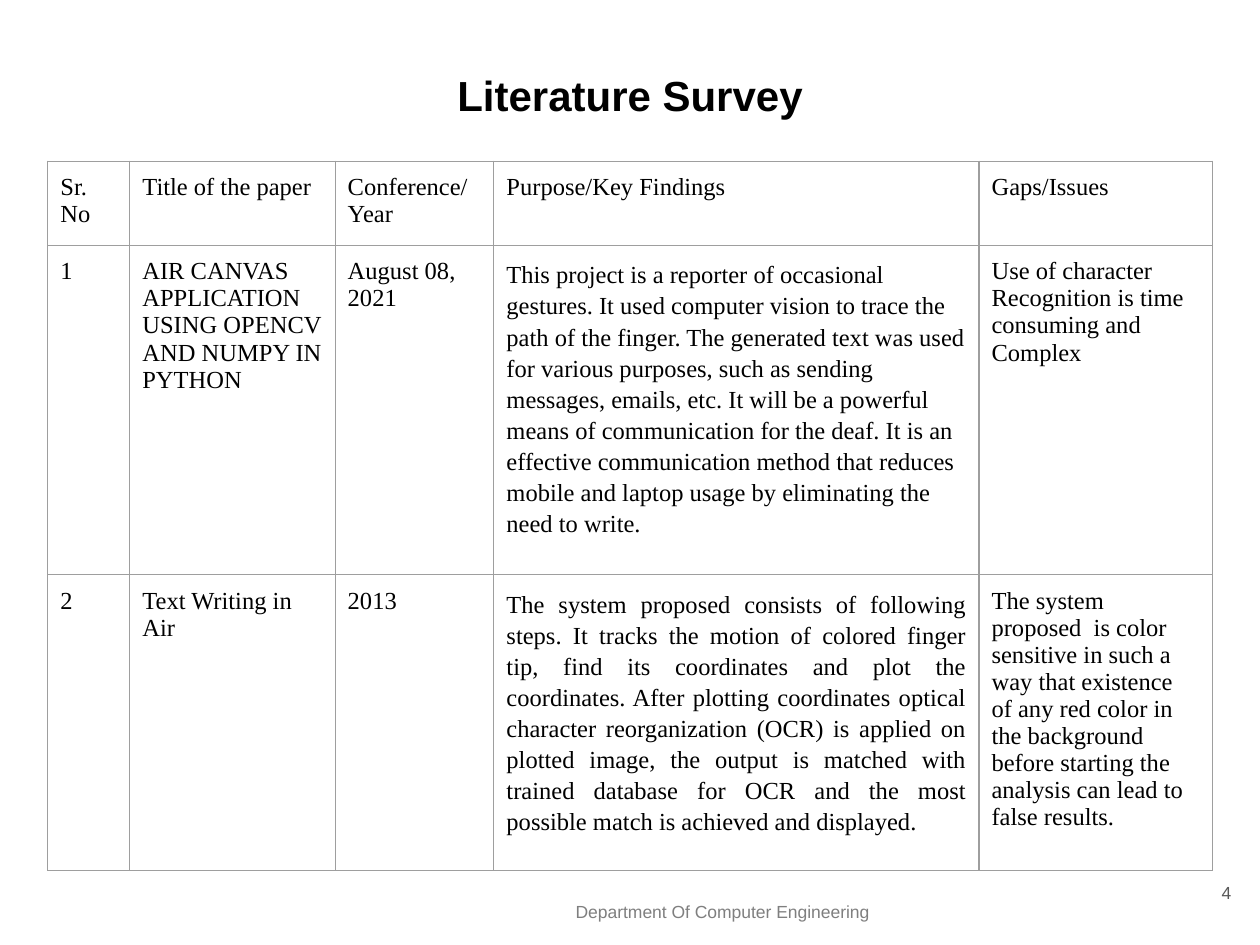
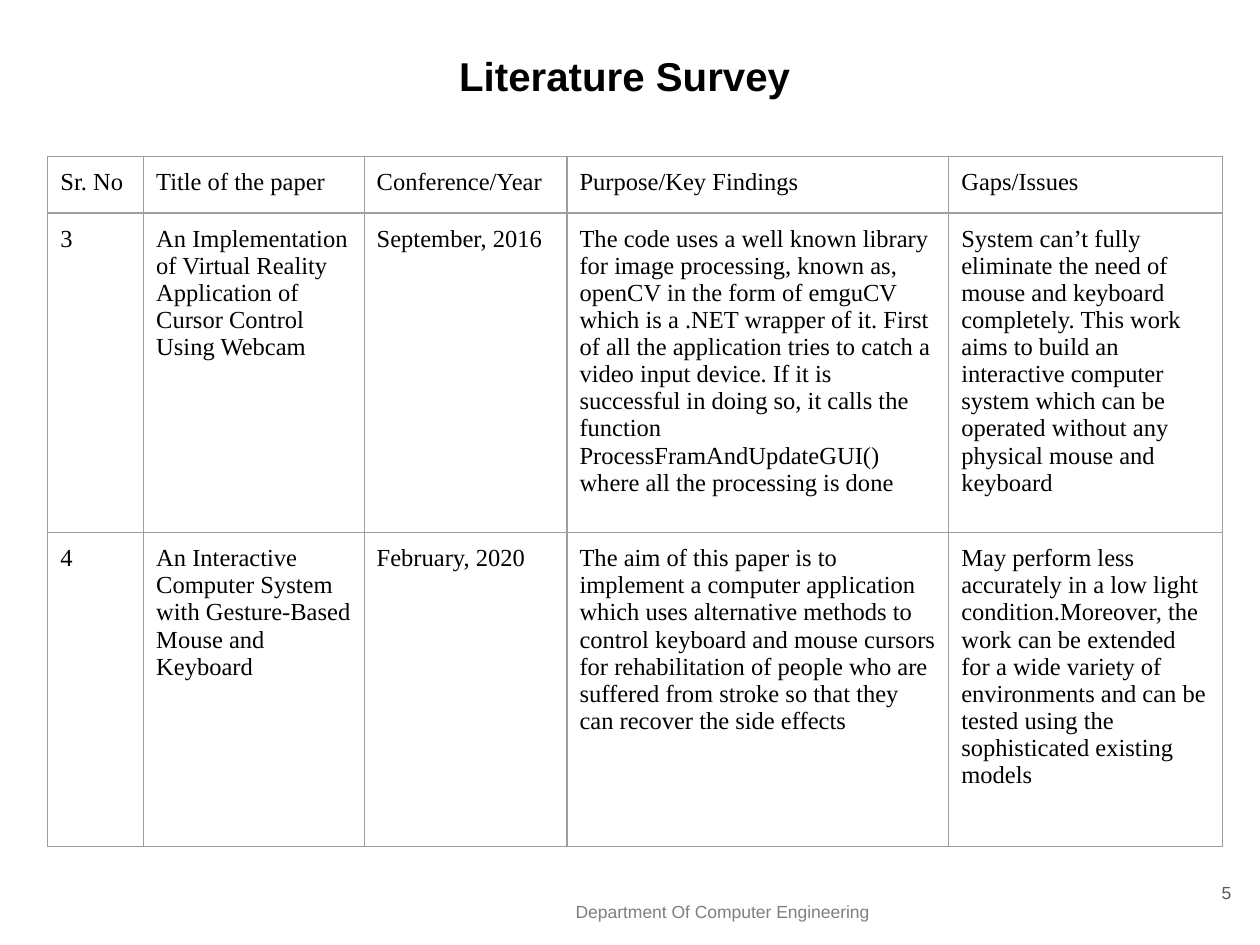
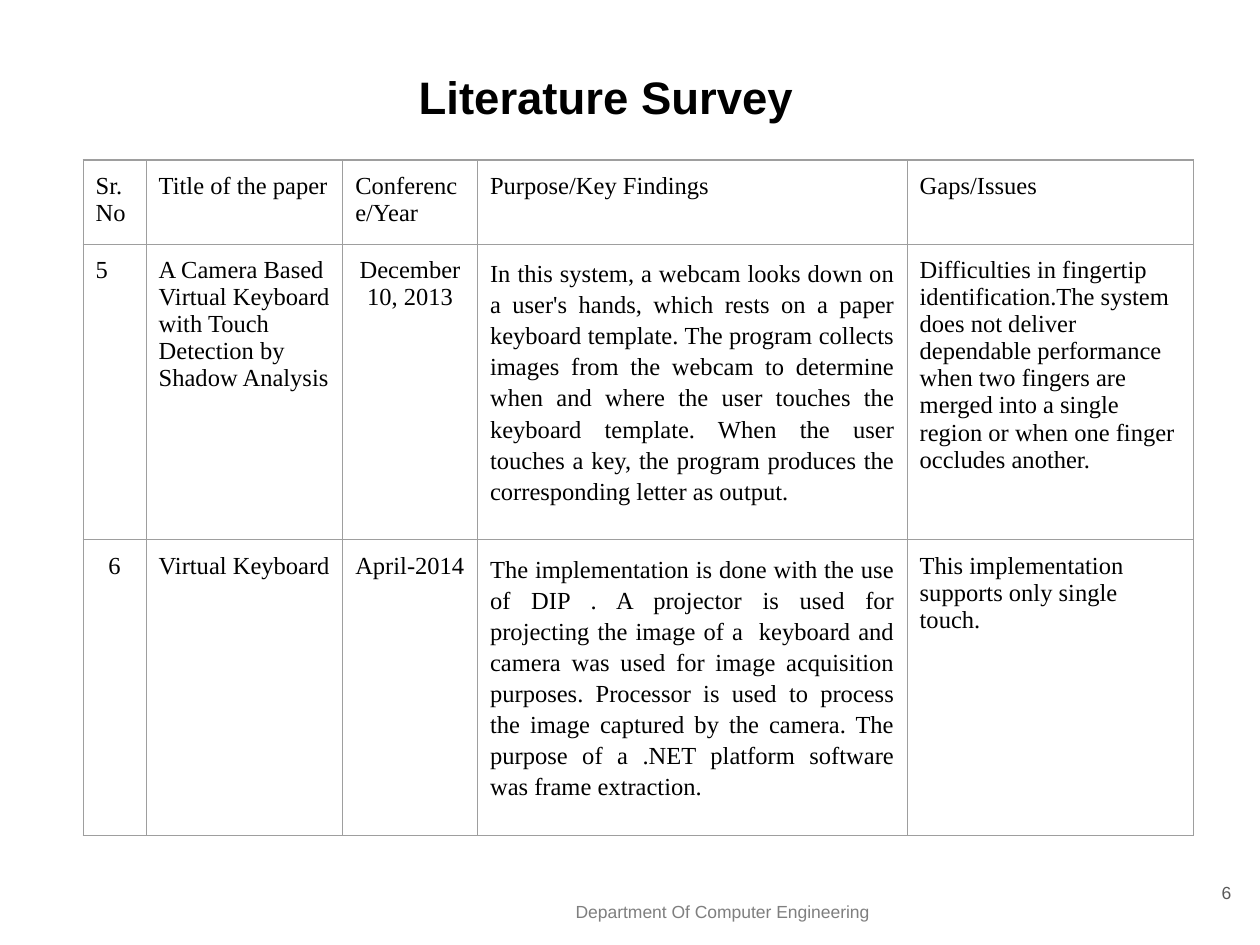
from lxml.etree import SubElement
from pptx import Presentation
from pptx.dml.color import RGBColor
from pptx.enum.text import MSO_ANCHOR, PP_ALIGN
from pptx.oxml.ns import qn
from pptx.util import Inches, Pt

BLACK, FOOTER_GREY, NUMBER_GREY, BORDER_GREY = "000000", "7F7F7F", "595959", "9E9E9E"
SANS, SERIF = "Arial", "Times New Roman"
LEFT, CENTER, RIGHT, JUSTIFY = PP_ALIGN.LEFT, PP_ALIGN.CENTER, PP_ALIGN.RIGHT, PP_ALIGN.JUSTIFY
INSET = 0.1
LOOSE = 1.15
HEADERS = ["Sr. No", "Title of the paper", "Conference/Year", "Purpose/Key Findings", "Gaps/Issues"]

SURVEYS = [
    {
        "number": 4, "title_at": (0.34, 0.45), "title_size": 24, "table_at": (0.38, 1.28),
        "cols": [0.65, 1.63, 1.26, 3.85, 1.85], "rows": [0.66, 2.56, 2.3],
        "papers": [
            ["1", "AIR CANVAS APPLICATION USING OPENCV AND NUMPY IN PYTHON", "August 08, 2021",
             ("This project is a reporter of occasional gestures. It used computer vision to trace "
              "the path of the finger. The generated text was used for various purposes, such as "
              "sending messages, emails, etc. It will be a powerful means of communication for the "
              "deaf. It is an effective communication method that reduces mobile and laptop usage "
              "by eliminating the need to write.", LEFT, LOOSE),
             "Use of character Recognition is time consuming and Complex"],
            ["2", "Text Writing in Air", "2013",
             ("The system proposed consists of following steps. It tracks the motion of colored "
              "finger tip, find its coordinates and plot the coordinates. After plotting "
              "coordinates optical character reorganization (OCR) is applied on plotted image, the "
              "output is matched with trained database for OCR and the most possible match is "
              "achieved and displayed.", JUSTIFY, LOOSE),
             "The system proposed  is color sensitive in such a way that existence of any red color "
             "in the background before starting the analysis can lead to false results."],
        ],
    },
    {
        "number": 5, "title_at": (0.3, 0.31), "title_size": 23, "table_at": (0.38, 1.24),
        "cols": [0.76, 1.75, 1.61, 3.03, 2.17], "rows": [0.45, 2.35, 2.49],
        "papers": [
            ["3", "An Implementation of Virtual Reality Application of Cursor Control Using Webcam",
             "September, 2016",
             "The code uses a well known library for image processing, known as, openCV in the form "
             "of emguCV which is a .NET wrapper of it. First of all the application tries to catch "
             "a video input device. If it is successful in doing so, it calls the function "
             "ProcessFramAndUpdateGUI() where all the processing is done",
             "System can’t fully eliminate the need of mouse and keyboard completely. This work "
             "aims to build an interactive computer system which can be operated without any "
             "physical mouse and keyboard"],
            ["4", "An Interactive Computer System with Gesture-Based Mouse and Keyboard",
             "February, 2020",
             "The aim of this paper is to implement a computer application which uses alternative "
             "methods to control keyboard and mouse cursors for rehabilitation of people who are "
             "suffered from stroke so that they can recover the side effects",
             "May perform less accurately in a low light condition.Moreover, the work can be "
             "extended for a wide variety of environments and can be tested using the "
             "sophisticated existing models"],
        ],
    },
    {
        "number": 6, "title_at": (0.15, 0.45), "title_size": 26, "table_at": (0.66, 1.27),
        "cols": [0.5, 1.56, 1.07, 3.41, 2.27], "rows": [0.63, 2.17, 2.17],
        "papers": [
            ["5", "A Camera Based Virtual Keyboard with Touch Detection by Shadow Analysis",
             ("December 10, 2013", CENTER, None),
             ("In this system, a webcam looks down on a user's hands, which rests on a paper "
              "keyboard template. The program collects images from the webcam to determine when "
              "and where the user touches the keyboard template. When the user touches a key, the "
              "program produces the corresponding letter as output.", JUSTIFY, LOOSE),
             "Difficulties in fingertip identification.The system does not deliver dependable "
             "performance when two fingers are merged into a single region or when one finger "
             "occludes another."],
            [("6", CENTER, None), "Virtual Keyboard", "April-2014",
             ("The implementation is done with the use of DIP . A projector is used for projecting "
              "the image of a  keyboard and camera was used for image acquisition purposes. "
              "Processor is used to process the image captured by the camera. The purpose of a "
              ".NET platform software was frame extraction.", JUSTIFY, LOOSE),
             "This implementation supports only single touch."],
        ],
    },
]


def rgb(color):
    """Turn a hex string into a colour."""
    return RGBColor.from_string(color)


def write(tf, text, size, font, color, align=LEFT, bold=False, spacing=None):
    """Write one styled paragraph into a text frame."""
    tf.word_wrap = True
    p = tf.paragraphs[0]
    p.text = text
    p.alignment = align
    p.line_spacing = spacing
    p.font.size = Pt(size)
    p.font.name = font
    p.font.bold = bold
    p.font.color.rgb = rgb(color)


def set_margins(target, x=INSET, y=INSET):
    """Set the inner margins of a text frame or cell."""
    target.margin_left = target.margin_right = Inches(x)
    target.margin_top = target.margin_bottom = Inches(y)


def add_text(s, box, text, size, color, inset_y=INSET, anchor=MSO_ANCHOR.TOP, **style):
    """Add a text box in the sans font."""
    tf = s.shapes.add_textbox(*map(Inches, box)).text_frame
    set_margins(tf, y=inset_y)
    tf.vertical_anchor = anchor
    write(tf, text, size, SANS, color, **style)


def add_borders(cell):
    """Draw a thin grey line on each side of a cell."""
    tcPr = cell._tc.get_or_add_tcPr()
    for side in ("a:lnL", "a:lnR", "a:lnT", "a:lnB"):
        line = SubElement(tcPr, qn(side), w=str(Pt(0.75)))
        fill = SubElement(line, qn("a:solidFill"))
        SubElement(fill, qn("a:srgbClr"), val=BORDER_GREY)


def fill_cell(cell, content):
    """Style a cell and write its text, given alone or with alignment and spacing."""
    text, align, spacing = (content, LEFT, None) if isinstance(content, str) else content
    set_margins(cell)
    add_borders(cell)
    cell.fill.background()
    write(cell.text_frame, text, 14, SERIF, BLACK, align, spacing=spacing)


def add_survey_table(s, at, cols, rows, papers):
    """Add the table of papers under the shared header row."""
    box = (*at, sum(cols), sum(rows))
    table = s.shapes.add_table(len(rows), len(cols), *map(Inches, box)).table
    table.first_row = table.horz_banding = False
    for column, width in zip(table.columns, cols):
        column.width = Inches(width)
    for row, height, contents in zip(table.rows, rows, [HEADERS, *papers]):
        row.height = Inches(height)
        for cell, content in zip(row.cells, contents):
            fill_cell(cell, content)


def add_survey_slide(prs, survey):
    """Add one literature survey slide."""
    s = prs.slides.add_slide(prs.slide_layouts[6])
    add_text(s, (4.47, 7.1, 2.55, 0.27), "Department Of Computer Engineering", 10, FOOTER_GREY,
             inset_y=0.05)
    add_text(s, (*survey["title_at"], 9.32, 0.57), "Literature Survey", survey["title_size"], BLACK,
             align=CENTER, bold=True)
    add_text(s, (9.27, 6.8, 0.6, 0.57), str(survey["number"]), 10, NUMBER_GREY,
             anchor=MSO_ANCHOR.MIDDLE, align=RIGHT)
    add_survey_table(s, survey["table_at"], survey["cols"], survey["rows"], survey["papers"])


def main():
    """Build and save the deck."""
    prs = Presentation()
    prs.slide_width, prs.slide_height = Inches(10), Inches(7.5)
    for survey in SURVEYS:
        add_survey_slide(prs, survey)
    prs.save("out.pptx")


if __name__ == "__main__":
    main()
